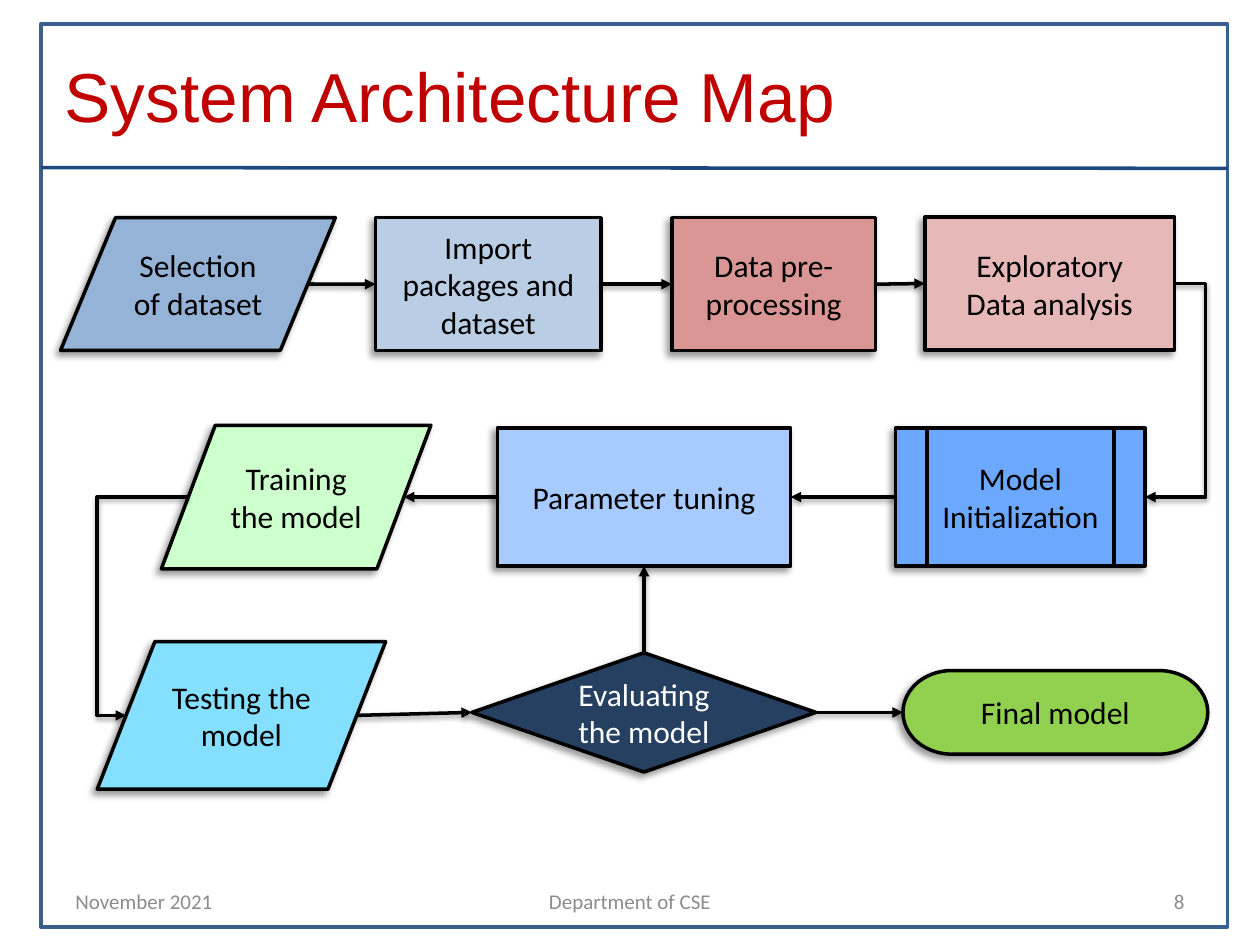
from dataclasses import dataclass
from typing import Optional

from lxml.etree import SubElement
from pptx import Presentation
from pptx.dml.color import RGBColor
from pptx.enum.shapes import MSO_CONNECTOR as CXN, MSO_SHAPE as SHAPE
from pptx.enum.text import MSO_ANCHOR as ANCHOR, PP_ALIGN as ALIGN
from pptx.oxml.ns import qn
from pptx.util import Pt

TOP, LEFT, BOTTOM, RIGHT = range(4)
BLACK, GREY, WHITE = "000000", "8C8C8C", "FFFFFF"


@dataclass
class Node:
    name: str
    kind: SHAPE
    text: str
    x: float
    y: float
    w: float
    h: float
    fill: str
    color: str = BLACK


@dataclass
class Arrow:
    start: tuple[float, float]
    end: tuple[float, float]
    source: Optional[tuple[str, int]] = None
    target: Optional[tuple[str, int]] = None
    bend_x: Optional[float] = None


NODES = [
    Node("select", SHAPE.FLOWCHART_DATA, "Selection of dataset", 34.6, 124.4, 157, 75.8, "95B3D7"),
    Node("import", SHAPE.FLOWCHART_PROCESS, "Import packages and dataset", 214.6, 124.4, 128.9, 76, "B9CDE5"),
    Node("prepare", SHAPE.FLOWCHART_PROCESS, "Data pre-processing", 384, 124.4, 116.2, 76, "D99694"),
    Node("explore", SHAPE.FLOWCHART_PROCESS, "Exploratory\nData analysis", 528.5, 124, 142.6, 76, "E6B9B8"),
    Node("init", SHAPE.FLOWCHART_PREDEFINED_PROCESS, "Model Initialization", 511.8, 244.6, 142.6, 78.8, "6DA8FF"),
    Node("tune", SHAPE.FLOWCHART_PROCESS, "Parameter tuning", 284.2, 244.6, 167.6, 78.8, "A7CBFF"),
    Node("train", SHAPE.FLOWCHART_DATA, "Training the model", 92.2, 243, 154, 82, "CCFFCC"),
    Node("test", SHAPE.FLOWCHART_DATA, "Testing the model", 55.6, 366.6, 164.8, 84.4, "85DFFF"),
    Node("evaluate", SHAPE.FLOWCHART_DECISION, "Evaluating the model", 269.7, 373, 196.6, 68.2, "254061", WHITE),
    Node("final", SHAPE.FLOWCHART_TERMINATOR, "Final model", 516, 383.2, 174.2, 47.8, "92D050"),
]

ARROWS = [
    Arrow((175.9, 162.3), (214.6, 162.4), target=("import", LEFT)),
    Arrow((343.5, 162.4), (384, 162.4), ("import", RIGHT), ("prepare", LEFT)),
    Arrow((500.2, 162.4), (528.5, 162), ("prepare", RIGHT), ("explore", LEFT)),
    Arrow((671.1, 162), (654.4, 284), ("explore", RIGHT), ("init", RIGHT), bend_x=689),
    Arrow((511.8, 284), (451.8, 284), ("init", LEFT), ("tune", RIGHT)),
    Arrow((284.2, 284), (230.8, 284), source=("tune", LEFT)),
    Arrow((107.6, 284), (72.1, 408.8), bend_x=55.6),
    Arrow((203.9, 408.8), (269.7, 407.1), target=("evaluate", LEFT)),
    Arrow((368, 373), (368, 323.4), ("evaluate", TOP), ("tune", BOTTOM)),
    Arrow((466.3, 407.1), (516, 407.1), ("evaluate", RIGHT), ("final", LEFT)),
]


def rgb(value: str) -> RGBColor:
    return RGBColor.from_string(value)


def set_line(sp, color: str) -> None:
    sp.line.color.rgb = rgb(color)
    sp.line.width = Pt(2)


def add_shadow(sp, alpha: int, blur: float, distance: float, angle: int) -> None:
    sp_pr = sp._element.spPr
    effects = sp_pr.find(qn("a:effectLst"))
    if effects is None:
        effects = SubElement(sp_pr, qn("a:effectLst"))
    shadow = SubElement(effects, qn("a:outerShdw"), blurRad=str(Pt(blur)),
                        dist=str(Pt(distance)), dir=str(angle * 60000), rotWithShape="0")
    clr = SubElement(shadow, qn("a:srgbClr"), val=BLACK)
    SubElement(clr, qn("a:alpha"), val=str(alpha * 1000))


def write(sp, text: str, *, size: float = 18, font: str = "Calibri",
          color: str = BLACK, align: ALIGN = ALIGN.CENTER) -> None:
    tf = sp.text_frame
    tf.word_wrap = True
    tf.vertical_anchor = ANCHOR.MIDDLE
    for i, line in enumerate(text.split("\n")):
        p = tf.add_paragraph() if i else tf.paragraphs[0]
        p.alignment = align
        r = p.add_run()
        r.text = line
        r.font.size = Pt(size)
        r.font.name = font
        r.font.color.rgb = rgb(color)


def add_label(s, text: str, x: float, y: float, w: float, h: float, **fmt) -> None:
    write(s.shapes.add_textbox(Pt(x), Pt(y), Pt(w), Pt(h)), text, **fmt)


def add_node(s, node: Node):
    sp = s.shapes.add_shape(node.kind, Pt(node.x), Pt(node.y), Pt(node.w), Pt(node.h))
    sp.fill.solid()
    sp.fill.fore_color.rgb = rgb(node.fill)
    set_line(sp, BLACK)
    sp.shadow.inherit = False
    add_shadow(sp, 40, 4, 3, 135)
    write(sp, node.text, color=node.color)
    return sp


def add_line(s, kind: CXN, start: tuple[float, float], end: tuple[float, float], color: str):
    cx = s.shapes.add_connector(kind, *(Pt(v) for v in (*start, *end)))
    set_line(cx, color)
    SubElement(cx._element.spPr, qn("a:effectLst"))
    return cx


def add_arrow(s, arrow: Arrow, shapes: dict) -> None:
    kind = CXN.STRAIGHT if arrow.bend_x is None else CXN.ELBOW
    cx = add_line(s, kind, arrow.start, arrow.end, BLACK)
    if arrow.source:
        cx.begin_connect(shapes[arrow.source[0]], arrow.source[1])
    if arrow.target:
        cx.end_connect(shapes[arrow.target[0]], arrow.target[1])
    SubElement(cx.line._get_or_add_ln(), qn("a:tailEnd"), type="triangle")
    add_shadow(cx, 38, 3.1, 1.6, 90)
    if arrow.bend_x is not None:
        x1, x2 = arrow.start[0], arrow.end[0]
        ratio = round((arrow.bend_x - x1) / (x2 - x1) * 100000)
        guides = cx._element.spPr.find(qn("a:prstGeom")).get_or_add_avLst()
        SubElement(guides, qn("a:gd"), name="adj1", fmla=f"val {ratio}")


def main() -> None:
    prs = Presentation()
    prs.slide_width, prs.slide_height = Pt(720), Pt(540)
    s = prs.slides.add_slide(prs.slide_layouts[6])

    frame = s.shapes.add_shape(SHAPE.RECTANGLE, Pt(23.5), Pt(13.7), Pt(678), Pt(516.2))
    frame.fill.background()
    set_line(frame, "3A5F8C")
    frame.shadow.inherit = False
    add_line(s, CXN.STRAIGHT, (23.5, 95.8), (701.5, 96.2), "1F497D")

    footer = dict(size=12, color=GREY)
    add_label(s, "November 2021", 36, 500.5, 168, 28.8, align=ALIGN.LEFT, **footer)
    add_label(s, "Department of CSE", 246, 500.5, 228, 28.8, **footer)
    add_label(s, "8", 516, 500.5, 168, 28.8, align=ALIGN.RIGHT, **footer)
    add_label(s, "System Architecture Map", 30, 30, 648, 48,
              size=39.6, font="Arial", color="C00000", align=ALIGN.LEFT)

    shapes = {node.name: add_node(s, node) for node in NODES}
    for arrow in ARROWS:
        add_arrow(s, arrow, shapes)
    prs.save("out.pptx")


if __name__ == "__main__":
    main()
